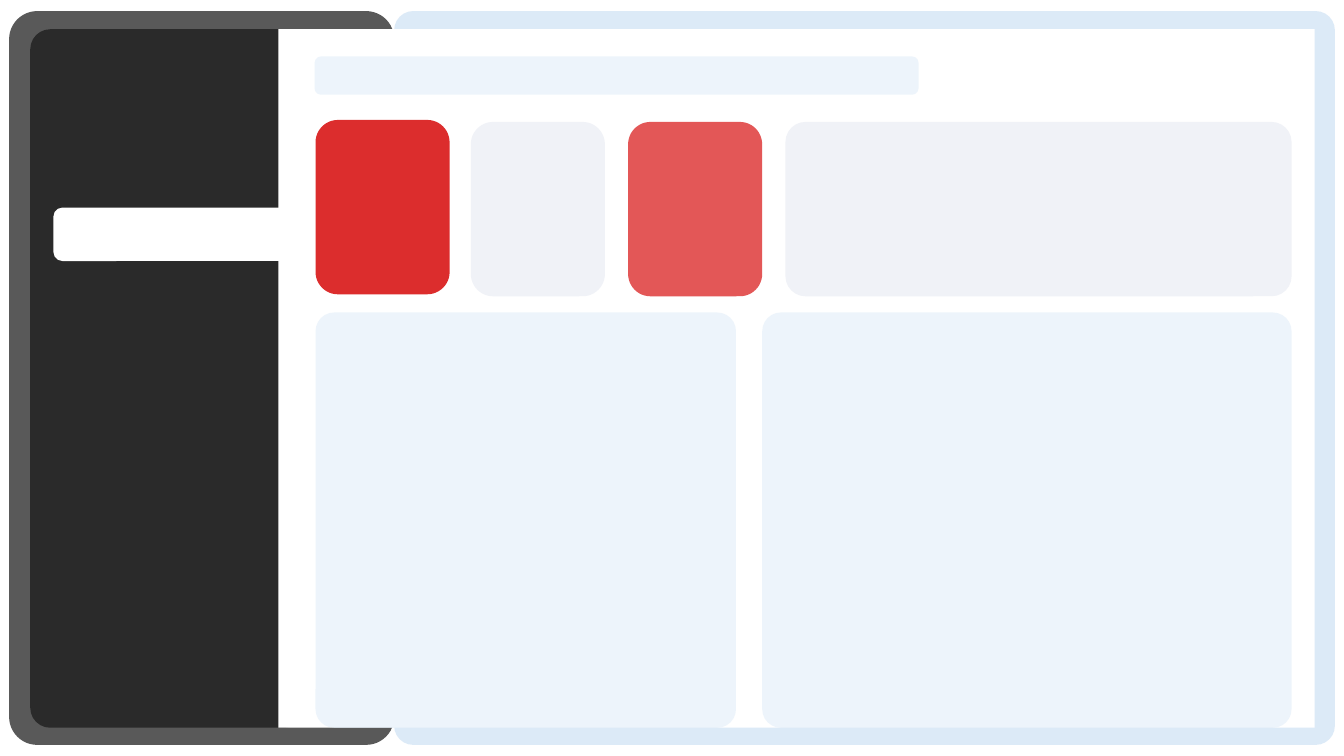
"""Build an empty dashboard frame with a sidebar, a title bar, cards and panels."""
from dataclasses import dataclass

from lxml.etree import SubElement
from pptx import Presentation
from pptx.dml.color import RGBColor
from pptx.enum.shapes import MSO_SHAPE
from pptx.oxml.ns import qn
from pptx.util import Inches


@dataclass(frozen=True)
class Theme:
    sky: str = "DCEAF7"
    red: str = "DC2D2D"
    mist: str = "F0F2F7"
    white: str = "FFFFFF"
    gray: str = "595959"
    charcoal: str = "2A2A2A"


THEME = Theme()
SLIDE_SIZE = (13.33, 7.5)
PRESET_ROUNDING = None
PANEL_ROUNDING = 0.045
SIDEBAR_ROUNDING = 0.073

ROWS = {
    "frame": (0.11, 7.28),
    "canvas": (0.29, 6.93),
    "title": (0.56, 0.38),
    "active card": (1.19, 1.73),
    "cards": (1.21, 1.73),
    "tab": (2.06, 0.53),
    "panels": (3.1, 4.12),
}

BLOCKS = {
    "content frame": ("frame", 3.91, 9.33, THEME.sky, 100, 0.026),
    "sidebar frame": ("frame", 0.09, 3.82, THEME.gray, 100, SIDEBAR_ROUNDING),
    "sidebar": ("canvas", 0.3, 2.72, THEME.charcoal, 100, SIDEBAR_ROUNDING),
    "content area": ("canvas", 2.76, 10.28, THEME.white, 100, 0),
    "title bar": ("title", 3.12, 5.99, THEME.sky, 49, PRESET_ROUNDING),
    "active card": ("active card", 3.13, 1.33, THEME.red, 100, PRESET_ROUNDING),
    "plain card": ("cards", 4.67, 1.33, THEME.mist, 100, PRESET_ROUNDING),
    "soft card": ("cards", 6.23, 1.33, THEME.red, 80, PRESET_ROUNDING),
    "left panel": ("panels", 3.13, 4.17, THEME.sky, 49, PANEL_ROUNDING),
    "wide card": ("cards", 7.79, 5.02, THEME.mist, 100, 0.115),
    "right panel": ("panels", 7.56, 5.25, THEME.sky, 49, PANEL_ROUNDING),
    "selected tab": ("tab", 0.53, 2.59, THEME.white, 100, PRESET_ROUNDING),
}


def add_block(slide, row, left, width, color, opacity, rounding):
    top, height = ROWS[row]
    bounds = [Inches(length) for length in (left, top, width, height)]
    shape = slide.shapes.add_shape(MSO_SHAPE.ROUNDED_RECTANGLE, *bounds)
    if rounding is not PRESET_ROUNDING:
        shape.adjustments[0] = rounding
    shape.shadow.inherit = False
    shape.line.fill.background()
    shape.fill.solid()
    shape.fill.fore_color.rgb = RGBColor.from_string(color)
    if opacity < 100:
        fill_color = shape.element.spPr.find(qn("a:solidFill")).find(qn("a:srgbClr"))
        SubElement(fill_color, qn("a:alpha"), val=str(opacity * 1000))


def main():
    presentation = Presentation()
    presentation.slide_width, presentation.slide_height = map(Inches, SLIDE_SIZE)
    slide = presentation.slides.add_slide(presentation.slide_layouts[6])
    for block in BLOCKS.values():
        add_block(slide, *block)
    presentation.save("out.pptx")


if __name__ == "__main__":
    main()
